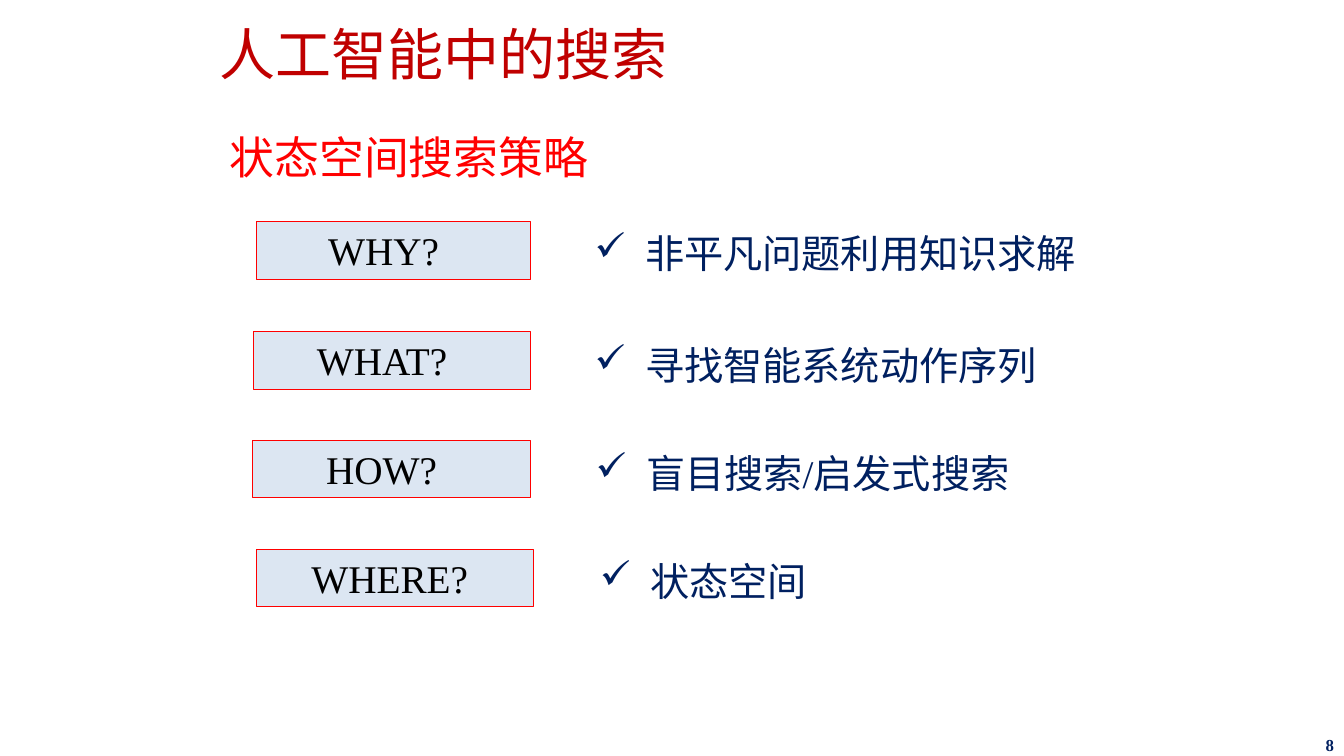
from lxml.etree import SubElement
from pptx import Presentation
from pptx.dml.color import RGBColor
from pptx.enum.shapes import MSO_SHAPE
from pptx.enum.text import MSO_ANCHOR, PP_ALIGN
from pptx.oxml.ns import qn
from pptx.util import Inches, Pt

SERIF = "Times New Roman"
CHINESE = "Noto Sans CJK JP"
NAVY = "002060"
ROW_HEIGHT = 0.57
ROWS = [
    ("WHY?", (2.54, 2.2, 2.72), 0.29, "非平凡问题利用知识求解", (5.8, 2.23)),
    ("WHAT?", (2.51, 3.29, 2.75), 0.29, "寻找智能系统动作序列", (5.8, 3.34)),
    ("HOW?", (2.5, 4.37, 2.76), 0.29, "盲目搜索/启发式搜索", (5.81, 4.41)),
    ("WHERE?", (2.54, 5.45, 2.75), 0.2, "状态空间", (5.85, 5.48)),
]


def color(value):
    """Turn a hex string into a colour."""
    return RGBColor.from_string(value)


def write(shape, text, size, ink, font=SERIF, bold=False, frame=None, para=None):
    """Write one formatted paragraph into a shape."""
    box = shape.text_frame
    for name, value in {"word_wrap": True, **(frame or {})}.items():
        setattr(box, name, value)
    line = box.paragraphs[0]
    for name, value in {"alignment": PP_ALIGN.LEFT, **(para or {})}.items():
        setattr(line, name, value)
    span = line.add_run()
    span.text = text
    for name, value in {"name": font, "size": Pt(size), "bold": bold}.items():
        setattr(span.font, name, value)
    span.font.color.rgb = color(ink)
    latin = span.font._element.find(qn("a:latin"))
    east_asian = latin.makeelement(qn("a:ea"), {"typeface": CHINESE})
    latin.addnext(east_asian)
    return line


def add_box(page, left, top, width, height):
    """Add an empty text box."""
    return page.shapes.add_textbox(*map(Inches, (left, top, width, height)))


def add_title(page, left, top, width, height):
    """Place and fill the title placeholder."""
    title = page.shapes.title
    place = {"left": left, "top": top, "width": width, "height": height}
    for name, value in place.items():
        setattr(title, name, Inches(value))
    frame = {"vertical_anchor": MSO_ANCHOR.MIDDLE, "margin_top": Inches(0.16)}
    write(title, "人工智能中的搜索", 40, "C00000", CHINESE,
          frame=frame, para={"line_spacing": 0.9})


def add_question(page, text, right_margin, left, top, width, height):
    """Draw a question in a framed rectangle."""
    area = map(Inches, (left, top, width, height))
    panel = page.shapes.add_shape(MSO_SHAPE.RECTANGLE, *area)
    panel.shadow.inherit = False
    panel.fill.solid()
    panel.fill.fore_color.rgb = color("DCE6F2")
    panel.line.color.rgb = color("FF0000")
    panel.line.width = Pt(0.75)
    frame = {"vertical_anchor": MSO_ANCHOR.TOP, "margin_right": Inches(right_margin)}
    write(panel, text, 28, "000000", frame=frame, para={"alignment": PP_ALIGN.CENTER})


def add_answer(page, text, left, top, width, height):
    """Add an answer with a check mark bullet."""
    line = write(add_box(page, left, top, width, height), text, 28, NAVY)
    properties = line._p.get_or_add_pPr()
    properties.set("marL", str(Inches(0.5)))
    properties.set("indent", str(Inches(-0.5)))
    SubElement(properties, qn("a:buChar"), char="✓")


def add_page_number(page, left, top, width, height):
    """Add the page number in the lower right corner."""
    write(add_box(page, left, top, width, height), "8", 12, NAVY, bold=True,
          frame={"vertical_anchor": MSO_ANCHOR.MIDDLE},
          para={"alignment": PP_ALIGN.RIGHT})


def main():
    """Build the slide and save the deck."""
    deck = Presentation()
    deck.slide_width, deck.slide_height = Inches(13.33), Inches(7.5)
    page = deck.slides.add_slide(deck.slide_layouts[5])
    add_title(page, 2.08, 0.15, 9.16, 0.72)
    write(add_box(page, 2.18, 1.24, 5, 0.64), "状态空间搜索策略", 32, "FF0000", CHINESE)
    for question, panel, right_margin, answer, corner in ROWS:
        add_question(page, question, right_margin, *panel, ROW_HEIGHT)
        add_answer(page, answer, *corner, 5.19, ROW_HEIGHT)
    add_page_number(page, 10.33, 7.28, 3, 0.22)
    deck.save("out.pptx")


if __name__ == "__main__":
    main()
